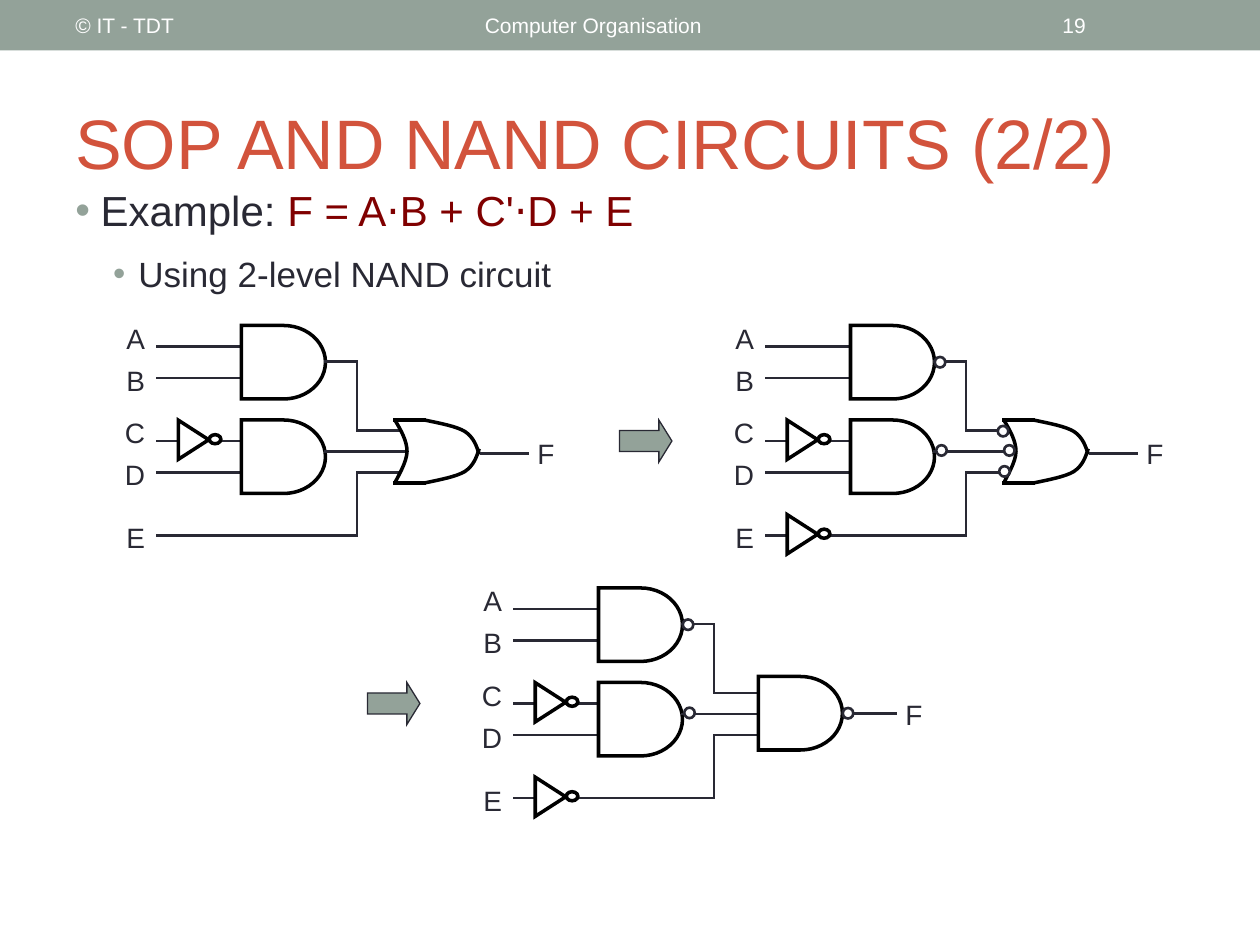
from lxml import etree
from pptx import Presentation
from pptx.dml.color import RGBColor
from pptx.enum import shapes, text
from pptx.oxml.ns import qn
from pptx.util import Pt

SAGE = RGBColor(0x93, 0xA2, 0x99)
RUST = RGBColor(0xD2, 0x53, 0x3C)
INK = RGBColor(0x29, 0x29, 0x34)
MAROON = RGBColor(0x80, 0x00, 0x00)
WHITE = RGBColor(0xFF, 0xFF, 0xFF)
BLACK = RGBColor(0x00, 0x00, 0x00)

MSO = shapes.MSO_SHAPE
ALIGN = text.PP_ALIGN
MIDDLE = text.MSO_ANCHOR.MIDDLE

INPUTS = {"A": 0, "B": 24, "C": 54, "D": 78, "E": 114}
INPUT_WIRES = (18, 36, 72, 90)
NOT_C, NOT_E = 62.6, 116.6
OR_BACK = ((0, 0), (3.6, 6), (7, 12), (7, 18), (7, 24), (1.4, 33), (0, 36))
OR_TOP = ((17, 0), (26.5, 2), (35, 3.6), (40, 6.5), (45.2, 10), (46.8, 15), (48.2, 19.6))
OR_BOTTOM = tuple((x, 36 - y) for x, y in OR_TOP)


def add_run(p, words, size, color):
    r = p.add_run()
    r.text = words
    for name, value in {"name": "Arial", "size": Pt(size)}.items():
        setattr(r.font, name, value)
    r.font.color.rgb = color


def add_box(slide, x, y, w, h, **frame):
    sp = slide.shapes.add_textbox(Pt(x), Pt(y), Pt(w), Pt(h))
    for name, value in {"word_wrap": True, **frame}.items():
        setattr(sp.text_frame, name, value)
    return sp.text_frame


def add_label(slide, words, x, y, w, h, size=16, color=INK, align=ALIGN.LEFT, **frame):
    p = add_box(slide, x, y, w, h, **frame).paragraphs[0]
    p.alignment = align
    add_run(p, words, size, color)


def add_bullet(p, left):
    pPr = p._p.get_or_add_pPr()
    pPr.set("marL", str(Pt(left)))
    pPr.set("indent", str(Pt(-14.4)))
    clr = etree.SubElement(pPr, qn("a:buClr"))
    etree.SubElement(clr, qn("a:srgbClr"), val=str(SAGE))
    etree.SubElement(pPr, qn("a:buFont"), typeface="Arial")
    etree.SubElement(pPr, qn("a:buChar"), char="•")


def draw_line(sp, color, width, cap="flat"):
    sp.line.fill.solid()
    sp.line.fill.fore_color.rgb = color
    sp.line.width = Pt(width)
    ln = sp._element.spPr.find(qn("a:ln"))
    ln.set("cap", cap)
    etree.SubElement(ln, qn("a:miter"), lim="800000")


def paint(sp, fill, line, width):
    """Set fill and outline; None leaves that part empty."""
    sp.shadow.inherit = False
    if fill is None:
        sp.fill.background()
    else:
        sp.fill.solid()
        sp.fill.fore_color.rgb = fill
    if line is None:
        sp.line.fill.background()
    else:
        draw_line(sp, line, width)


def add_shape(slide, kind, x, y, w, h, fill=None, line=BLACK, width=2):
    sp = slide.shapes.add_shape(kind, Pt(x), Pt(y), Pt(w), Pt(h))
    paint(sp, fill, line, width)
    return sp


def add_wire(slide, x0, y0, *points, color=INK, width=1.5):
    """Join points, given relative to x0, y0, by straight connectors."""
    for (xa, ya), (xb, yb) in zip(points, points[1:]):
        line = slide.shapes.add_connector(
            shapes.MSO_CONNECTOR.STRAIGHT,
            Pt(x0 + xa), Pt(y0 + ya), Pt(x0 + xb), Pt(y0 + yb))
        draw_line(line, color, width, "sq")
        etree.SubElement(line._element.spPr, qn("a:effectLst"))


def add_curve(slide, x, y, points):
    """Open cubic curve: a start, then two controls and an end per piece."""
    start, *rest = [(Pt(x + a), Pt(y + b)) for a, b in points]
    fb = slide.shapes.build_freeform(*start)
    fb.add_line_segments(rest, close=False)
    sp = fb.convert_to_shape()
    lines = list(sp._element.iter(qn("a:lnTo")))
    for i in range(0, len(lines), 3):
        cubic = etree.SubElement(lines[i].getparent(), qn("a:cubicBezTo"))
        for line in lines[i:i + 3]:
            cubic.append(line[0])
            line.getparent().remove(line)
    paint(sp, None, BLACK, 2)


def add_and(slide, x, y):
    add_shape(slide, MSO.FLOWCHART_DELAY, x, y, 48, 42)


def add_or(slide, x, y):
    for points in (OR_BACK, OR_TOP, OR_BOTTOM):
        add_curve(slide, x, y, points)
    for dy in (0, 36):
        add_wire(slide, x, y, (0, dy), (17, dy), color=BLACK, width=2)


def add_not(slide, x, y):
    add_shape(slide, MSO.FLOWCHART_MERGE, x, y, 22.4, 17.4, WHITE).rotation = 270
    add_shape(slide, MSO.OVAL, x + 20.2, y + 5.8, 6.6, 5.2, WHITE)


def add_bubble(slide, x, y):
    add_shape(slide, MSO.OVAL, x, y, 6, 6, WHITE, INK, 1.5)


def add_arrow(slide, x, y):
    sp = add_shape(slide, MSO.RIGHT_ARROW, x, y, 30, 24, SAGE, INK, 0.75)
    sp.adjustments[1] = 0.31


def add_circuit(slide, x, y, inverters, bubbles=(), final_nand=False):
    """Two-level circuit whose top left label corner is at x, y."""
    for name, dy in INPUTS.items():
        add_label(slide, name, x, y + dy, 30, 26.6, align=ALIGN.RIGHT)
    for dy in INPUT_WIRES:
        add_wire(slide, x, y, (30, dy), (78, dy))
    for dy in (6, 60):
        add_and(slide, x + 78, y + dy)

    add_wire(slide, x, y, (126, 26.6), (144, 26.6), (144, 66), (168, 66))
    add_wire(slide, x, y, (126, 78), (168 if final_nand else 172.6, 78))
    add_wire(slide, x, y, (30, 126), (144, 126), (144, 90), (168, 90))

    if final_nand:
        add_and(slide, x + 169.4, y + 56.6)
        out_x, out_y = 221.4, 77.8
    else:
        add_or(slide, x + 165.6, y + 60)
        out_x, out_y = 215.2, 79.2
    add_wire(slide, x, y, (out_x, out_y), (out_x + 26.6, out_y))
    add_label(slide, "F", x + out_x + 24.8, y + out_y - 13, 34.6, 26.6)

    for dy in inverters:
        add_not(slide, x + 39.4, y + dy)
    for dx, dy in bubbles:
        add_bubble(slide, x + dx, y + dy)


def add_header(slide):
    add_shape(slide, MSO.RECTANGLE, 0, 0, 720, 28.8, SAGE, None)
    for words, x, w in (("© IT - TDT", 36, 228), ("Computer Organisation", 270, 324),
                        ("19", 600, 84)):
        add_label(slide, words, x, 1.4, w, 26, 12, WHITE, vertical_anchor=MIDDLE)


def add_body(slide):
    tf = add_box(slide, 36, 102, 648, 390)
    p = tf.paragraphs[0]
    add_bullet(p, 14.4)
    add_run(p, "Example:", 24, INK)
    add_run(p, " F = A⋅B + C'⋅D + E", 24, MAROON)
    p = tf.add_paragraph()
    p.level = 1
    p.space_before = Pt(10)
    add_bullet(p, 36)
    add_run(p, "Using 2-level NAND circuit", 20, INK)


def main():
    prs = Presentation()
    prs.slide_width, prs.slide_height = Pt(720), Pt(540)
    slide = prs.slides.add_slide(prs.slide_layouts[6])
    add_header(slide)
    add_label(slide, "SOP AND NAND CIRCUITS (2/2)", 36, 42, 648, 78, 40, RUST,
              vertical_anchor=MIDDLE)
    add_body(slide)

    nand_outputs = [(126.2, 24), (127, 74.4)]
    or_inputs = [(162.2, 63.4), (165.8, 74.4), (163, 86.4)]
    add_circuit(slide, 60, 180, [NOT_C])
    add_circuit(slide, 408, 180, [NOT_C, NOT_E], nand_outputs + or_inputs)
    add_circuit(slide, 264, 330, [NOT_C, NOT_E], nand_outputs + [(217.6, 74.6)],
                final_nand=True)
    for x, y in ((354, 240), (210, 390)):
        add_arrow(slide, x, y)
    prs.save("out.pptx")


if __name__ == "__main__":
    main()
